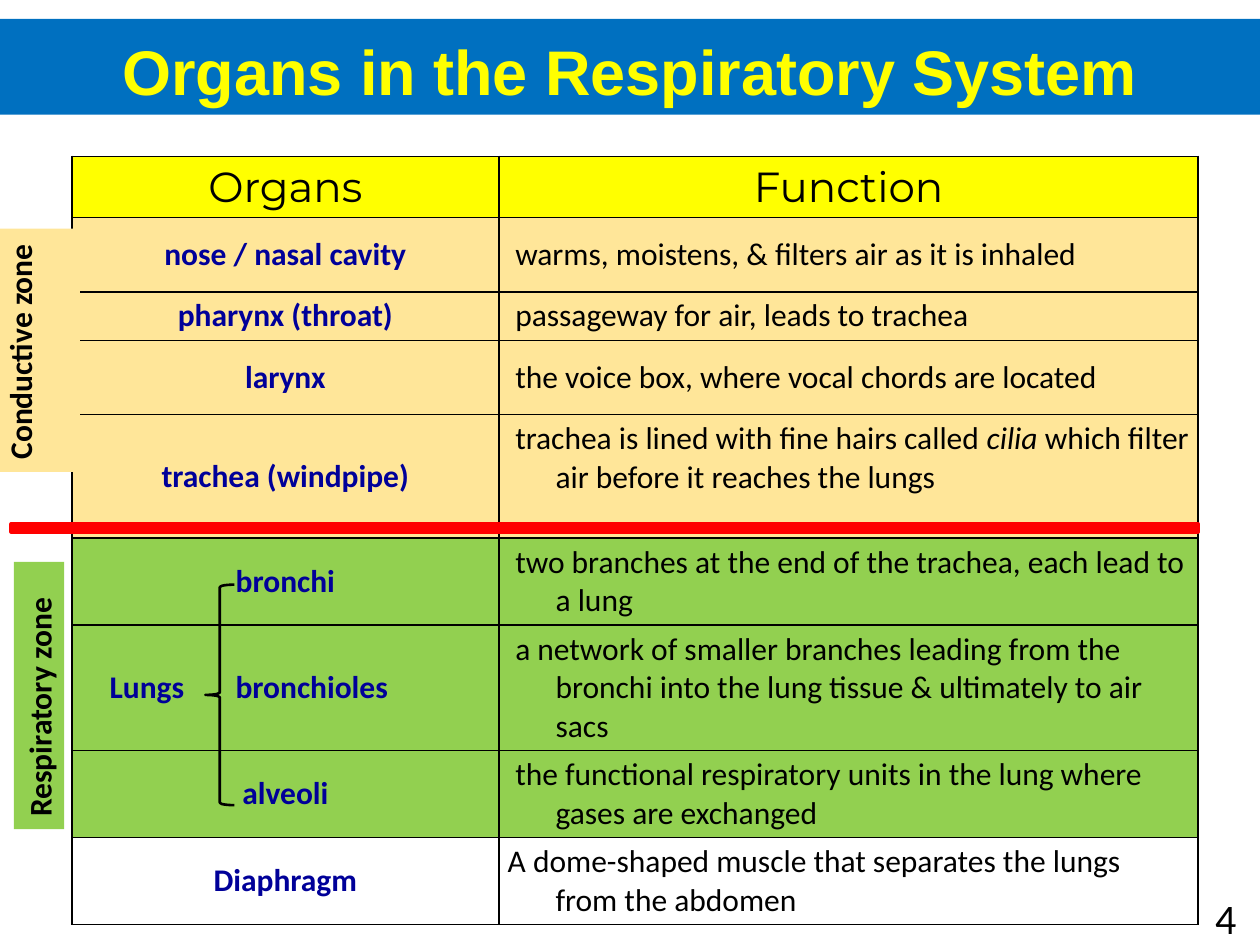
from dataclasses import dataclass

from lxml.etree import SubElement
from pptx import Presentation
from pptx.dml.color import RGBColor
from pptx.enum.shapes import MSO_SHAPE
from pptx.enum.text import MSO_ANCHOR, PP_ALIGN
from pptx.oxml.ns import qn
from pptx.util import Inches, Pt


@dataclass(frozen=True)
class Theme:
    banner: str = "0070C0"
    highlight: str = "FFFF00"
    conductive: str = "FFE699"
    respiratory: str = "92D050"
    plain: str = "FFFFFF"
    organ: str = "000099"
    ink: str = "000000"
    divider: str = "FF0000"
    title_font: str = "Arial"
    header_font: str = "Montserrat"
    body_font: str = "Calibri"
    title_size: int = 36
    header_size: int = 24
    body_size: int = 18


THEME = Theme()
HANGING = 0.38
NUDGED = 0.32  # first line starts slightly inside the cell
COLUMN_WIDTHS = (3.39, 5.55)
HEADER_HEIGHT = 0.48
# organ, function as (text, italic) pieces, row height, fill, first-line hang
ORGAN_ROWS = (
    ("nose / nasal cavity", [("warms, moistens, & filters air as it is inhaled", False)],
     0.59, THEME.conductive, NUDGED),
    ("pharynx (throat)", [("passageway for air, leads to trachea", False)],
     0.38, THEME.conductive, NUDGED),
    ("larynx", [("the voice box, where vocal chords are located", False)],
     0.59, THEME.conductive, NUDGED),
    ("trachea (windpipe)", [("trachea is lined with fine hairs called ", False), ("cilia", True),
                            (" which filter air before it reaches the lungs", False)],
     0.98, THEME.conductive, NUDGED),
    ("bronchi", [("two branches at the end of the trachea, each lead to a lung", False)],
     0.68, THEME.respiratory, NUDGED),
    ("Lungs\tbronchioles", [("a network of smaller branches leading from the bronchi into "
                             "the lung tissue & ultimately to air sacs", False)],
     0.98, THEME.respiratory, NUDGED),
    ("alveoli", [("the functional respiratory units in the lung where gases are exchanged", False)],
     0.68, THEME.respiratory, NUDGED),
    ("Diaphragm", [("A dome-shaped muscle that separates the lungs from the abdomen", False)],
     0.68, THEME.plain, HANGING),
)


def paint(target, color):
    target.fill.solid()
    target.fill.fore_color.rgb = RGBColor.from_string(color)


def add_run(paragraph, text, size=THEME.body_size, font=THEME.body_font,
            color=THEME.ink, bold=False, italic=False):
    run = paragraph.add_run()
    run.text = text
    run.font.size = Pt(size)
    run.font.name = font
    run.font.bold = bold
    run.font.italic = italic
    run.font.color.rgb = RGBColor.from_string(color)


def set_indent(paragraph, margin, hang=0.0):
    properties = paragraph._p.get_or_add_pPr()
    properties.set("marL", str(Inches(margin)))
    properties.set("indent", str(-Inches(hang)))
    return properties


def add_tab_stop(properties, position):
    tabs = SubElement(properties, qn("a:tabLst"))
    SubElement(tabs, qn("a:tab"), pos=str(Inches(position)), algn="l")


def style_cell(cell, fill):
    """Set margins, thin black borders and the fill of a cell."""
    cell.margin_left = cell.margin_right = Inches(0.07)
    cell.margin_top = cell.margin_bottom = Inches(0.04)
    cell.vertical_anchor = MSO_ANCHOR.MIDDLE
    properties = cell._tc.get_or_add_tcPr()
    for side in ("lnL", "lnR", "lnT", "lnB"):
        border = SubElement(properties, qn(f"a:{side}"), w=str(Pt(1)))
        border_fill = SubElement(border, qn("a:solidFill"))
        SubElement(border_fill, qn("a:srgbClr"), val=THEME.ink)
    paint(cell, fill)


def add_title(slide):
    title = slide.shapes.title
    title.left, title.top, title.width, title.height = map(Inches, (0, 0.15, 10, 0.76))
    paint(title, THEME.banner)
    title.text_frame.vertical_anchor = MSO_ANCHOR.BOTTOM
    heading = title.text_frame.paragraphs[0]
    heading.alignment = PP_ALIGN.CENTER
    add_run(heading, "Organs in the Respiratory System", THEME.title_size,
            THEME.title_font, THEME.highlight, bold=True)


def fill_organ_cell(cell, organ):
    paragraph = cell.text_frame.paragraphs[0]
    if "\t" in organ:
        add_tab_stop(set_indent(paragraph, 0.23), 1.78)
    else:
        paragraph.alignment = PP_ALIGN.CENTER
        set_indent(paragraph, HANGING, HANGING)
    add_run(paragraph, organ, color=THEME.organ, bold=True)


def fill_function_cell(cell, pieces, hang):
    paragraph = cell.text_frame.paragraphs[0]
    set_indent(paragraph, HANGING, hang)
    for text, italic in pieces:
        add_run(paragraph, text, italic=italic)


def add_organ_table(slide):
    heights = [HEADER_HEIGHT] + [row[2] for row in ORGAN_ROWS]
    table = slide.shapes.add_table(
        len(heights), len(COLUMN_WIDTHS), Inches(0.57), Inches(1.24),
        Inches(sum(COLUMN_WIDTHS)), Inches(sum(heights))).table
    table.first_row = table.horz_banding = False
    for column, width in zip(table.columns, COLUMN_WIDTHS):
        column.width = Inches(width)
    for row, height in zip(table.rows, heights):
        row.height = Inches(height)

    for column, heading in enumerate(("Organs", "Function")):
        cell = table.cell(0, column)
        style_cell(cell, THEME.highlight)
        paragraph = cell.text_frame.paragraphs[0]
        paragraph.alignment = PP_ALIGN.CENTER
        set_indent(paragraph, HANGING, HANGING)
        add_run(paragraph, heading, THEME.header_size, THEME.header_font)

    for index, (organ, pieces, _, fill, hang) in enumerate(ORGAN_ROWS, start=1):
        organ_cell, function_cell = table.cell(index, 0), table.cell(index, 1)
        style_cell(organ_cell, fill)
        style_cell(function_cell, fill)
        fill_organ_cell(organ_cell, organ)
        fill_function_cell(function_cell, pieces, hang)
        if organ.startswith("trachea"):
            function_cell.vertical_anchor = MSO_ANCHOR.TOP


def add_plain_shape(slide, kind, box, fill=None, line=None, line_width=0):
    shape = slide.shapes.add_shape(kind, *map(Inches, box))
    shape.shadow.inherit = False
    if fill:
        paint(shape, fill)
    else:
        shape.fill.background()
    if line:
        shape.line.color.rgb = RGBColor.from_string(line)
        shape.line.width = Pt(line_width)
    else:
        shape.line.fill.background()
    return shape


def add_zone_label(slide, text, box, fill):
    label = add_plain_shape(slide, MSO_SHAPE.RECTANGLE, box, fill)
    label.rotation = 270
    frame = label.text_frame
    frame.word_wrap = True
    frame.margin_right = 0
    frame.vertical_anchor = MSO_ANCHOR.TOP
    frame.paragraphs[0].alignment = PP_ALIGN.LEFT
    add_run(frame.paragraphs[0], text, bold=True)


def add_page_number(slide, number):
    frame = slide.shapes.add_textbox(*map(Inches, (7.66, 7.08, 2.25, 0.4))).text_frame
    frame.word_wrap = True
    frame.vertical_anchor = MSO_ANCHOR.MIDDLE
    frame.paragraphs[0].alignment = PP_ALIGN.RIGHT
    add_run(frame.paragraphs[0], number, THEME.header_size)


def main():
    deck = Presentation()
    deck.slide_width, deck.slide_height = Inches(10), Inches(7.5)
    slide = deck.slides.add_slide(deck.slide_layouts.get_by_name("Title Only"))
    add_title(slide)
    add_organ_table(slide)
    add_plain_shape(slide, MSO_SHAPE.LEFT_BRACE, (1.63, 4.64, 0.23, 1.75),
                    line=THEME.ink, line_width=1.5)
    add_plain_shape(slide, MSO_SHAPE.RECTANGLE, (0.09, 4.16, 9.42, 0.06),
                    THEME.divider, THEME.divider, 2.25)
    add_zone_label(slide, "Conductive zone", (-0.67, 2.44, 1.93, 0.68), THEME.conductive)
    add_zone_label(slide, "Respiratory zone", (-0.75, 5.32, 2.12, 0.4), THEME.respiratory)
    add_page_number(slide, "4")
    deck.save("out.pptx")


if __name__ == "__main__":
    main()
